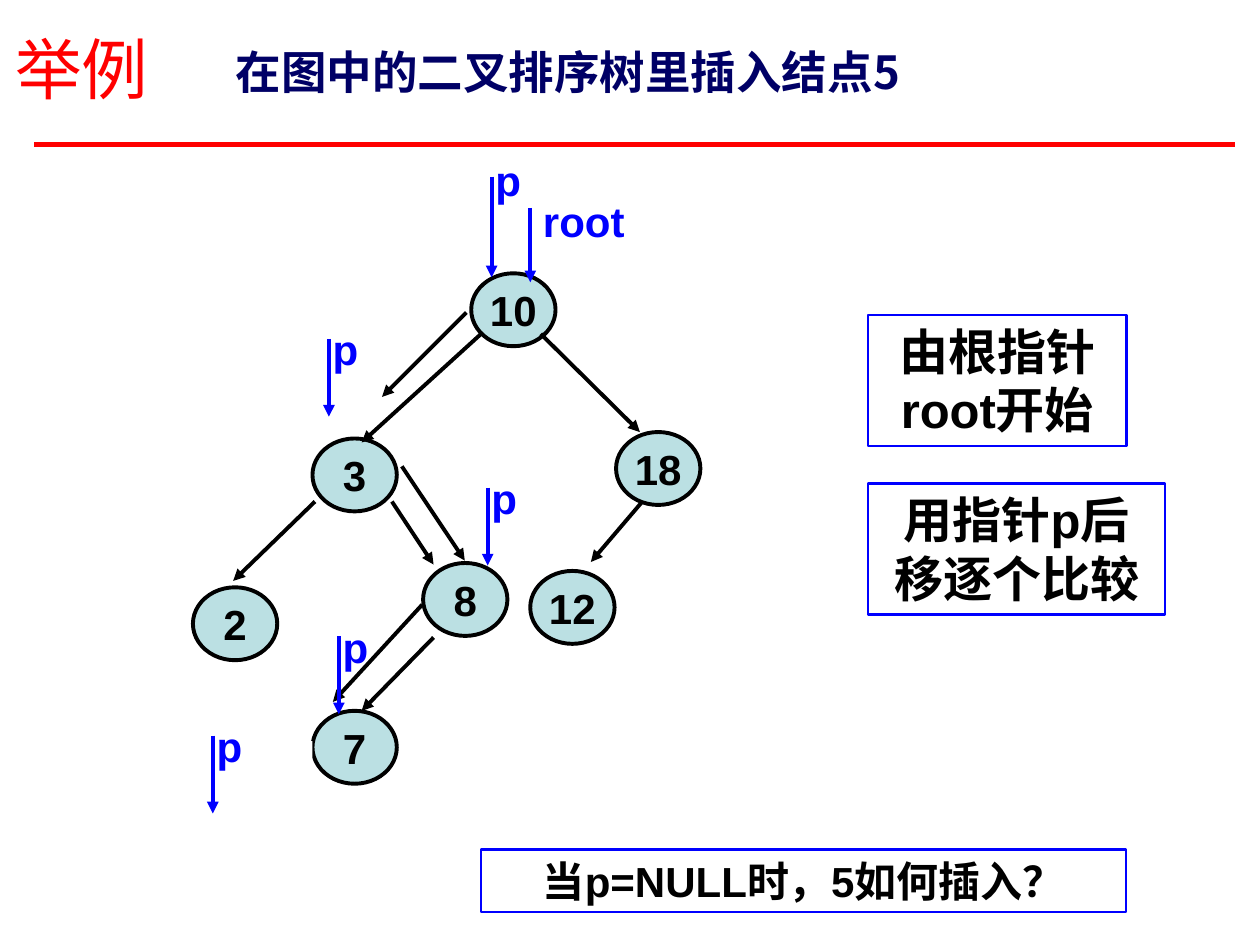
from lxml.etree import SubElement as Sub
from pptx import Presentation
from pptx.dml.color import RGBColor as RGB
from pptx.enum.shapes import MSO_CONNECTOR as Link, MSO_SHAPE as Kind
from pptx.enum.text import MSO_ANCHOR as Anchor, PP_ALIGN as Align
from pptx.oxml.ns import qn
from pptx.util import Cm, Pt

INK = {"black": "000000", "blue": "0000FF", "red": "FF0000",
       "navy": "000066", "node": "BBE0E3", "white": "FFFFFF"}
HAN = "Noto Sans CJK SC"


def write(shape, text, size=24, color="black", bold=True, font="Arial",
          align=Align.CENTER, anchor=Anchor.TOP, wrap=True):
    frame = shape.text_frame
    frame.word_wrap = wrap
    frame.vertical_anchor = anchor
    para = frame.paragraphs[0]
    para.alignment = align
    run = para.add_run()
    run.text = text
    run.font.size, run.font.bold, run.font.name = Pt(size), bold, font
    run.font.color.rgb = RGB.from_string(INK[color])
    Sub(run.font._element, qn("a:ea"), typeface=HAN)


def rule(x1, y1, x2, y2, color="black", width=2.25, arrow=True):
    line = slide.shapes.add_connector(
        Link.STRAIGHT, Cm(x1), Cm(y1), Cm(x2), Cm(y2))
    line.line.color.rgb = RGB.from_string(INK[color])
    line.line.width = Pt(width)
    if arrow:
        Sub(line.line._get_or_add_ln(), qn("a:tailEnd"), type="triangle")
    Sub(line._element.spPr, qn("a:effectLst"))


deck = Presentation()
deck.slide_width, deck.slide_height = Cm(25.4), Cm(19.05)
slide = deck.slides.add_slide(deck.slide_layouts[5])
shapes = slide.shapes

# Heading
title = shapes.title
title.left, title.top, title.width, title.height = Cm(0.05), Cm(0), Cm(22.86), Cm(2.72)
write(title, "举例", size=38, color="red", bold=False, font=HAN,
      align=Align.LEFT, anchor=Anchor.MIDDLE)
task = shapes.add_textbox(Cm(4.5), Cm(0.76), Cm(18.6), Cm(1.37))
write(task, "在图中的二叉排序树里插入结点5", size=26, color="navy",
      font=HAN, align=Align.LEFT)
rule(0.69, 2.92, 24.9, 2.92, color="red", width=3, arrow=False)

# Tree nodes
for key, x, y in [("10", 9.5, 5.51), ("3", 6.3, 8.84), ("18", 12.42, 8.71),
                  ("2", 3.89, 11.84), ("8", 8.53, 11.35),
                  ("7", 6.3, 14.33), ("12", 10.69, 11.51)]:
    node = shapes.add_shape(Kind.OVAL, Cm(x), Cm(y), Cm(1.7), Cm(1.47))
    node.shadow.inherit = False
    node.fill.solid()
    node.fill.fore_color.rgb = RGB.from_string(INK["node"])
    node.line.color.rgb = RGB.from_string(INK["black"])
    node.line.width = Pt(2.25)
    write(node, key, anchor=Anchor.MIDDLE, wrap=False)

# Tree edges, then the search path beside them
for ends in [(9.7, 6.73, 7.29, 8.92), (6.35, 10.11, 4.7, 11.71),
             (7.9, 10.11, 8.74, 11.38), (8.74, 12.85, 7.29, 14.33),
             (10.9, 6.73, 12.9, 8.71), (12.95, 10.11, 11.91, 11.33),
             (9.4, 6.3, 7.7, 8), (8.1, 9.4, 9.37, 11.3),
             (8.51, 12.19, 6.71, 14.15)]:
    rule(*ends)

# Blank area under the last pointer
blank = shapes.add_shape(Kind.RECTANGLE, Cm(3.1), Cm(14.94), Cm(3.2), Cm(4.11))
blank.shadow.inherit = False
blank.fill.solid()
blank.fill.fore_color.rgb = RGB.from_string(INK["white"])
blank.line.fill.background()

# Pointers: name, arrow x, top, length, then label shift and width
for name, x, y, size, dx, dy, wide in [
        ("root", 10.69, 4.19, 1.5, 0, 0.38, 2.16),
        ("p", 9.91, 3.56, 2.03, 0.53, 0.56, 1.73),
        ("p", 6.63, 6.83, 1.57, 0.53, 0.43, 1.73),
        ("p", 9.83, 9.83, 1.57, 0.53, 0.43, 1.73),
        ("p", 6.83, 12.83, 1.57, 0.53, 0.43, 1.73),
        ("p", 4.29, 14.83, 1.57, 0.53, 0.43, 1.73)]:
    label = shapes.add_textbox(Cm(x - dx), Cm(y - dy), Cm(wide), Cm(1.27))
    write(label, name, color="blue", wrap=name == "p")
    rule(x, y, x, y + size, color="blue")

# Framed notes
for text, x, y, wide, high, size in [
        ("由根指针root开始", 17.5, 6.35, 5.21, 2.64, 28),
        ("用指针p后移逐个比较", 17.5, 9.75, 5.99, 2.64, 28),
        ("当p=NULL时，5如何插入？", 9.7, 17.12, 13, 1.27, 24)]:
    note = shapes.add_shape(Kind.RECTANGLE, Cm(x), Cm(y), Cm(wide), Cm(high))
    note.shadow.inherit = False
    note.fill.background()
    note.line.color.rgb = RGB.from_string(INK["blue"])
    note.line.width = Pt(1.5)
    write(note, text, size=size)

deck.save("out.pptx")
